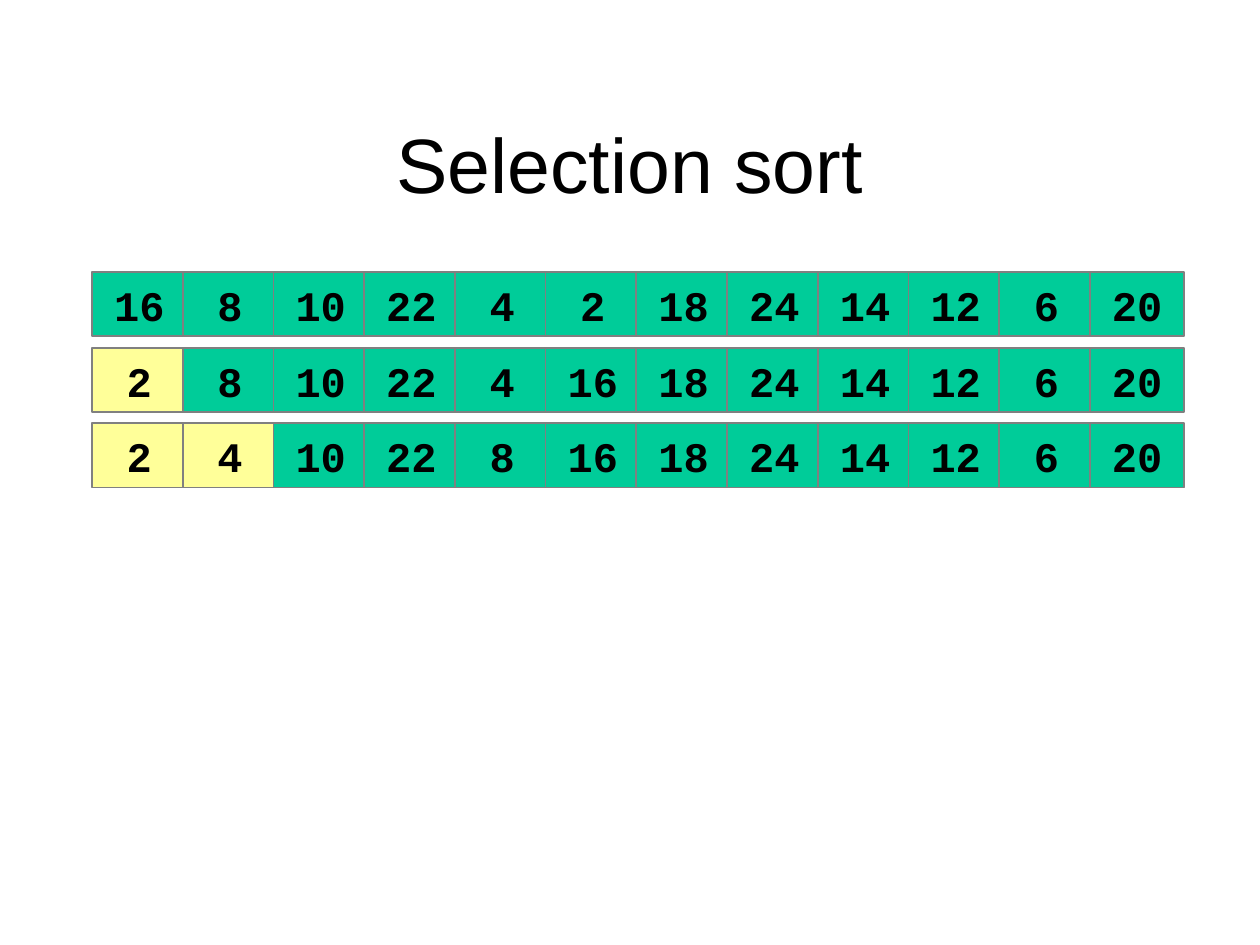
from dataclasses import dataclass

from pptx import Presentation
from pptx import util as u
from pptx.dml.color import RGBColor
from pptx.enum import shapes, text


@dataclass(frozen=True)
class Theme:
    unsorted: RGBColor = RGBColor(0x00, 0xCC, 0x99)
    sorted: RGBColor = RGBColor(0xFF, 0xFF, 0x99)
    border: RGBColor = RGBColor(0x80, 0x80, 0x80)
    ink: RGBColor = RGBColor(0x00, 0x00, 0x00)
    title_font: str = "Arial"
    cell_font: str = "Courier New"
    title_size: u.Pt = u.Pt(44)
    cell_size: u.Pt = u.Pt(24)
    border_width: u.Pt = u.Pt(1)


THEME = Theme()
PASSES = [
    [16, 8, 10, 22, 4, 2, 18, 24, 14, 12, 6, 20],
    [2, 8, 10, 22, 4, 16, 18, 24, 14, 12, 6, 20],
    [2, 4, 10, 22, 8, 16, 18, 24, 14, 12, 6, 20],
]


def style_paragraph(p, name, size, bold=False):
    p.alignment = text.PP_ALIGN.CENTER
    p.font.name, p.font.size, p.font.bold = name, size, bold
    p.font.color.rgb = THEME.ink


def add_title(s, title, left, top, width, height):
    sp = s.shapes.title
    sp.left, sp.top, sp.width, sp.height = left, top, width, height
    tf = sp.text_frame
    tf.text = title
    tf.vertical_anchor = text.MSO_ANCHOR.MIDDLE
    style_paragraph(tf.paragraphs[0], THEME.title_font, THEME.title_size)


def add_cell(group, value, fill, left, top, width, height):
    sp = group.shapes.add_shape(shapes.MSO_SHAPE.RECTANGLE, left, top, width, height)
    sp.shadow.inherit = False
    sp.fill.solid()
    sp.fill.fore_color.rgb = fill
    sp.line.color.rgb = THEME.border
    sp.line.width = THEME.border_width
    tf = sp.text_frame
    tf.text = str(value)
    tf.word_wrap = True
    tf.vertical_anchor = text.MSO_ANCHOR.TOP
    tf.margin_top = u.Inches(0.06)
    style_paragraph(tf.paragraphs[0], THEME.cell_font, THEME.cell_size, True)


def add_array(s, values, sorted_count, left, top, width, height):
    group = s.shapes.add_group_shape()
    cell_width = u.Inches(0.75)
    pitch = (width - cell_width) / (len(values) - 1)
    for i, value in enumerate(values):
        fill = THEME.sorted if i < sorted_count else THEME.unsorted
        add_cell(group, value, fill, left + round(i * pitch), top, cell_width, height)


def add_passes(s, left, top, width, height):
    row_height = u.Inches(0.51)
    pitch = (height - row_height) / (len(PASSES) - 1)
    for i, values in enumerate(PASSES):
        add_array(s, values, i, left, top + round(i * pitch), width, row_height)


def main():
    prs = Presentation()
    prs.slide_width, prs.slide_height = u.Inches(10), u.Inches(7.5)
    s = prs.slides.add_slide(prs.slide_layouts[5])
    add_title(s, "Selection sort",
              u.Inches(0.75), u.Inches(0.67), u.Inches(8.5), u.Inches(1.25))
    add_passes(s, u.Inches(0.73), u.Inches(2.16), u.Inches(8.67), u.Inches(1.71))
    prs.save("out.pptx")


if __name__ == "__main__":
    main()
